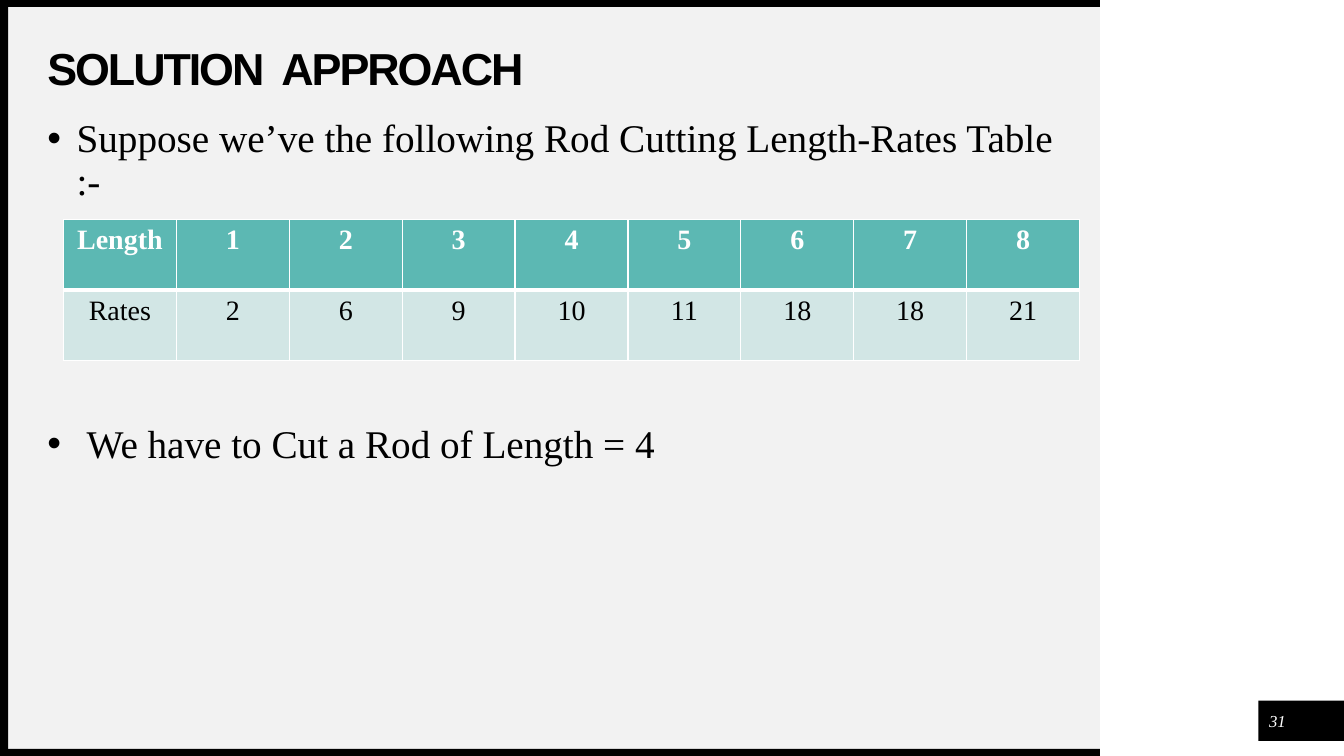
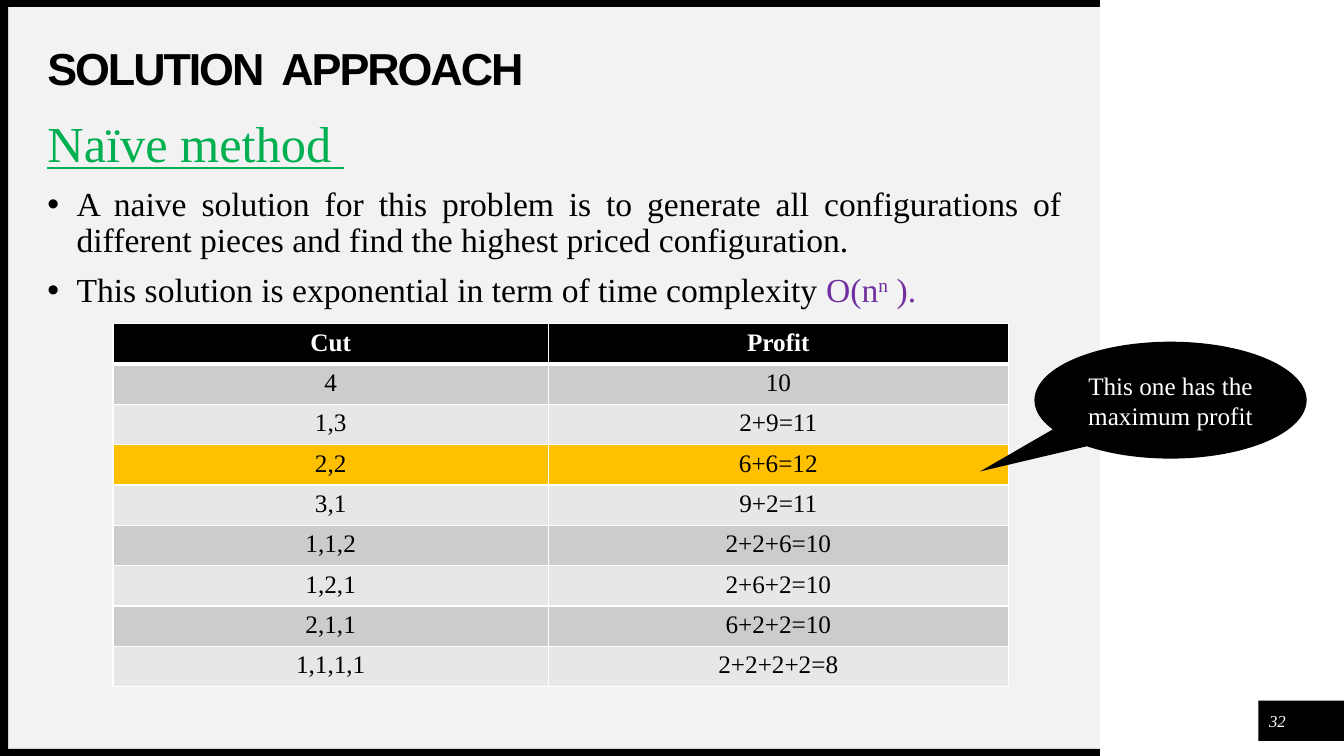
from dataclasses import dataclass
from itertools import cycle

from lxml.etree import SubElement
from pptx import Presentation
from pptx.dml.color import RGBColor
from pptx.enum.shapes import MSO_SHAPE
from pptx.enum.text import MSO_ANCHOR, PP_ALIGN
from pptx.oxml.ns import qn
from pptx.util import Pt

EMU_PER_PX = 9144


@dataclass(frozen=True)
class Theme:
    """Colours, fonts and type sizes shared by the slides."""

    black: str = "000000"
    white: str = "FFFFFF"
    panel: str = "F2F2F2"
    teal: str = "5CB8B3"
    pale_teal: str = "D2E6E5"
    dark_band: str = "CCCCCC"
    light_band: str = "E7E7E7"
    highlight: str = "FFC000"
    green: str = "00B050"
    purple: str = "7030A0"
    title_font: str = "Arial"
    body_font: str = "Times New Roman"
    heading: int = 36
    title: int = 32
    lead: int = 28
    body: int = 24
    rates: int = 20
    small: int = 18
    number: int = 12


THEME = Theme()


def px(*lengths):
    """Turn whole pixels into a list of EMU lengths."""
    return [length * EMU_PER_PX for length in lengths]


def paint(fill, color):
    """Give a fill one solid colour."""
    fill.solid()
    fill.fore_color.rgb = RGBColor.from_string(color)


def write(paragraph, text, size=THEME.body, color=THEME.black, font=THEME.body_font,
          bold=False, italic=False, underline=False, tracking=None, baseline=None,
          align=None, line=None, before=None):
    """Add a formatted run, with any paragraph settings, to a paragraph."""
    run = paragraph.add_run()
    run.text = text
    run.font.size = Pt(size)
    run.font.name = font
    run.font.color.rgb = RGBColor.from_string(color)
    run.font.bold, run.font.italic, run.font.underline = bold, italic, underline
    for attribute, value in (("spc", tracking), ("baseline", baseline)):
        if value is not None:
            run.font._element.set(attribute, str(value))
    if align is not None:
        paragraph.alignment = align
    if line is not None:
        paragraph.line_spacing = line
    if before is not None:
        paragraph.space_before = Pt(before)


def add_bullet(paragraph, indent=29):
    """Hang a round bullet in front of a paragraph."""
    hang, = px(indent)
    properties = paragraph._p.get_or_add_pPr()
    properties.set("marL", str(hang))
    properties.set("indent", str(-hang))
    SubElement(properties, qn("a:buFont")).set("typeface", "Arial")
    SubElement(properties, qn("a:buChar")).set("char", "•")


def add_text_area(slide, box, anchor=MSO_ANCHOR.TOP):
    """Add a wrapping text box without insets and return its frame."""
    frame = slide.shapes.add_textbox(*px(*box)).text_frame
    frame.word_wrap = True
    frame.vertical_anchor = anchor
    frame.margin_left = frame.margin_right = frame.margin_top = frame.margin_bottom = 0
    return frame


def add_block(slide, box, color, preset=MSO_SHAPE.RECTANGLE):
    """Add a flat shape without an outline."""
    block = slide.shapes.add_shape(preset, *px(*box))
    block.shadow.inherit = False
    paint(block.fill, color)
    block.line.fill.background()
    return block


def add_border(cell, side, width):
    """Draw one white edge of a table cell."""
    edge = SubElement(cell._tc.get_or_add_tcPr(), qn(f"a:ln{side}"), w=str(Pt(width)))
    fill = SubElement(edge, qn("a:solidFill"))
    SubElement(fill, qn("a:srgbClr"), val=THEME.white)


def add_grid(slide, origin, widths, row_height, rows, fills, size):
    """Add a centred table with a bold header row and one fill per row."""
    box = (*origin, sum(widths), row_height * len(rows))
    table = slide.shapes.add_table(len(rows), len(widths), *px(*box)).table
    table.horz_banding = False
    for column, width in zip(table.columns, px(*widths)):
        column.width = width
    for index, (values, fill) in enumerate(zip(rows, fills)):
        header = index == 0
        table.rows[index].height, = px(row_height)
        edges = {"L": 1, "R": 1, "T": 3 if index == 1 else 1, "B": 3 if header else 1}
        for cell, value in zip(table.rows[index].cells, values):
            for side, width in edges.items():
                add_border(cell, side, width)
            paint(cell.fill, fill)
            write(cell.text_frame.paragraphs[0], value, size=size, bold=header,
                  color=THEME.white if header else THEME.black, align=PP_ALIGN.CENTER)


def add_base_slide(deck, number):
    """Add a slide with the shared panel, bands, title and number."""
    slide = deck.slides.add_slide(deck.slide_layouts[6])
    add_block(slide, (8, 7, 1083, 736), THEME.panel)
    for band in ((1248, 695, 85, 40), (0, 743, 1091, 7), (0, 0, 1091, 7), (0, 0, 8, 750)):
        add_block(slide, band, THEME.black)
    title = add_text_area(slide, (47, 47, 1006, 47), MSO_ANCHOR.MIDDLE)
    write(title.paragraphs[0], "SOLUTION  APPROACH", size=THEME.title,
          font=THEME.title_font, bold=True, tracking=-150, line=0.9)
    page = add_text_area(slide, (1252, 700, 30, 30), MSO_ANCHOR.MIDDLE)
    write(page.paragraphs[0], str(number), size=THEME.number, color=THEME.white,
          italic=True, align=PP_ALIGN.CENTER)
    return slide


def build_rates_slide(deck):
    """Show the length and rate table with the rod to cut."""
    slide = add_base_slide(deck, 31)
    statements = (
        (118, 29, "Suppose we’ve the following Rod Cutting Length-Rates Table :-"),
        (421, 39, "We have to Cut a Rod of Length = 4"),
    )
    for top, indent, text in statements:
        statement = add_text_area(slide, (47, top, 1006, 90)).paragraphs[0]
        add_bullet(statement, indent)
        write(statement, text, size=THEME.lead, line=0.9)
    rates = (2, 6, 9, 10, 11, 18, 18, 21)
    rows = (
        ["Length", *(str(length) for length in range(1, len(rates) + 1))],
        ["Rates", *map(str, rates)],
    )
    add_grid(slide, (63, 218), [112] * len(rows[0]), 70, rows,
             (THEME.teal, THEME.pale_teal), THEME.rates)


def build_naive_slide(deck):
    """Compare the profit of every way to cut the rod."""
    slide = add_base_slide(deck, 32)
    frame = add_text_area(slide, (47, 118, 1006, 200))
    write(frame.paragraphs[0], "Naïve method ", size=THEME.heading, color=THEME.green,
          underline=True, align=PP_ALIGN.JUSTIFY, line=0.9)
    points = (
        "A naive solution for this problem is to generate all configurations of "
        "different pieces and find the highest priced configuration.",
        "This solution is exponential in term of time complexity ",
    )
    for text in points:
        point = frame.add_paragraph()
        add_bullet(point)
        write(point, text, align=PP_ALIGN.JUSTIFY, line=0.9, before=10)
    for text, baseline in (("O(n", None), ("n", 30000), (" ).", None)):
        write(point, text, color=THEME.purple, baseline=baseline)

    rows = (
        ("Cut", "Profit"),
        ("4", "10"),
        ("1,3", "2+9=11"),
        ("2,2", "6+6=12"),
        ("3,1", "9+2=11"),
        ("1,1,2", "2+2+6=10"),
        ("1,2,1", "2+6+2=10"),
        ("2,1,1", "6+2+2=10"),
        ("1,1,1,1", "2+2+2+2=8"),
    )
    best_cut = "2,2"
    bands = cycle((THEME.dark_band, THEME.light_band))
    fills = [THEME.black] + [THEME.highlight if cut == best_cut else band
                             for (cut, _), band in zip(rows[1:], bands)]
    add_grid(slide, (112, 321), (432, 456), 39, rows, fills, THEME.small)

    callout = add_block(slide, (1026, 339, 270, 116), THEME.black, MSO_SHAPE.OVAL_CALLOUT)
    callout.adjustments[0], callout.adjustments[1] = -0.7, 0.61
    callout.text_frame.word_wrap = True
    callout.text_frame.vertical_anchor = MSO_ANCHOR.MIDDLE
    write(callout.text_frame.paragraphs[0], "This one has the maximum profit",
          size=THEME.small, color=THEME.white, align=PP_ALIGN.CENTER)


def main():
    """Build and save the presentation."""
    deck = Presentation()
    deck.slide_width, deck.slide_height = px(1333, 750)
    build_rates_slide(deck)
    build_naive_slide(deck)
    deck.save("out.pptx")


if __name__ == "__main__":
    main()
